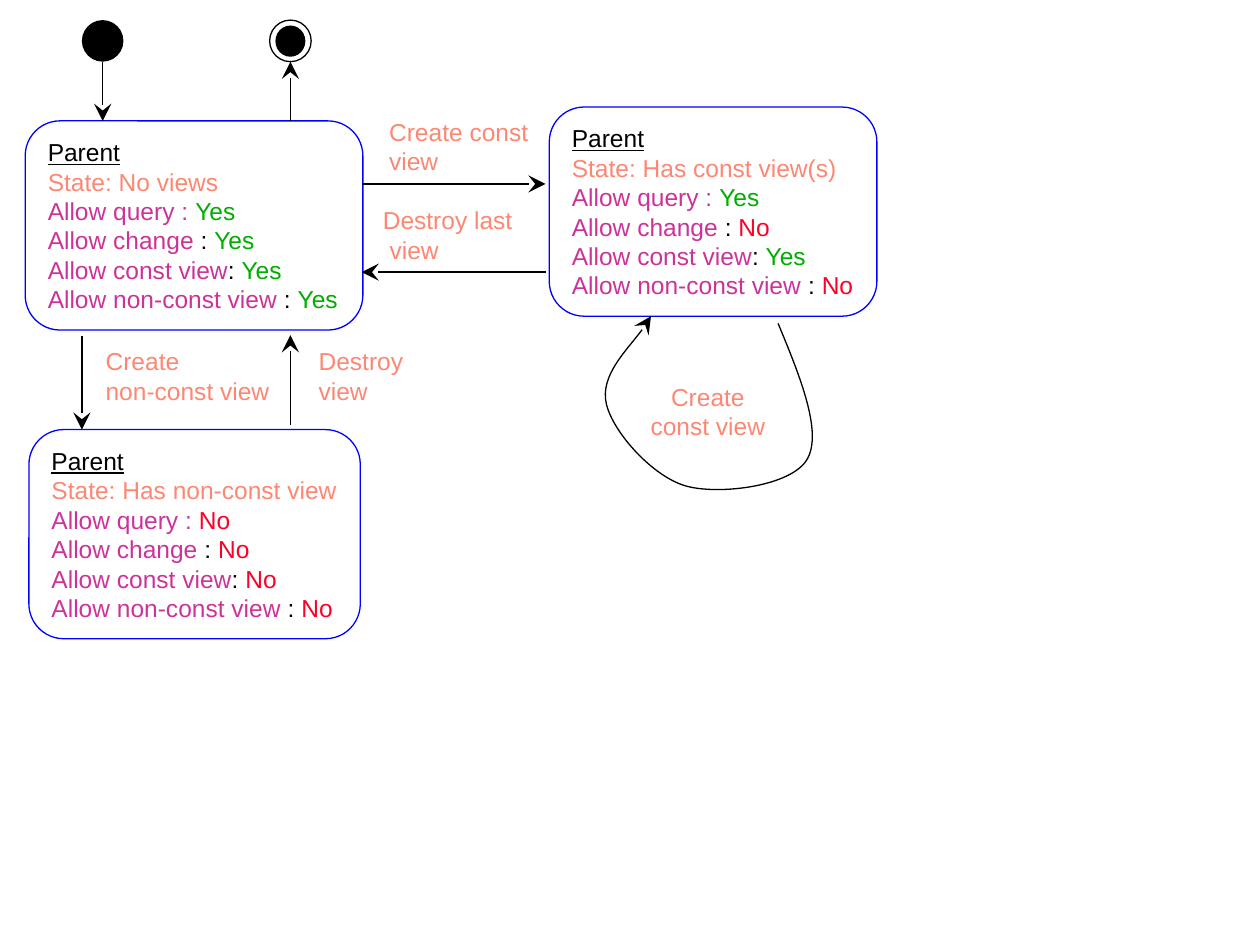
from dataclasses import dataclass

from lxml.etree import SubElement
from pptx import Presentation
from pptx.dml.color import RGBColor
from pptx.enum.shapes import MSO_CONNECTOR, MSO_SHAPE
from pptx.enum.text import MSO_ANCHOR, MSO_AUTO_SIZE, PP_ALIGN
from pptx.oxml.ns import qn
from pptx.util import Inches, Pt

BLACK = RGBColor(0x00, 0x00, 0x00)
WHITE = RGBColor(0xFF, 0xFF, 0xFF)
BLUE = RGBColor(0x00, 0x00, 0xFF)
SALMON = RGBColor(0xFD, 0x87, 0x73)
PURPLE = RGBColor(0xCC, 0x33, 0x99)
GREEN = RGBColor(0x00, 0xAE, 0x00)
RED = RGBColor(0xFC, 0x01, 0x28)

SLIDE_WIDTH, SLIDE_HEIGHT = Inches(10), Inches(7.5)
COLUMN, ROW = SLIDE_WIDTH / 100, SLIDE_HEIGHT / 75
LINE_WIDTH = Pt(0.75)
PERMISSIONS = (
    ("Allow query : ", ""),
    ("Allow change", " : "),
    ("Allow const view", ": "),
    ("Allow non-const view", " : "),
)
LOOP_START = (0.8, 0.04)
LOOP_CURVE = (
    (0.9, 0.34), (1, 0.65), (0.93, 0.8),
    (0.86, 0.95), (0.54, 1), (0.39, 0.95),
    (0.24, 0.9), (0.06, 0.65), (0.03, 0.49),
    (0, 0.33), (0.19, 0.1), (0.23, 0),
)


@dataclass
class Box:
    """A rectangle measured in grid columns and rows."""

    left: float
    top: float
    width: float
    height: float

    def point(self, across, down):
        """Return the grid point at the given shares of the box."""
        return self.left + across * self.width, self.top + down * self.height

    def inner(self, across, down, width, height):
        """Return a box given as shares of this one."""
        return Box(*self.point(across, down), width * self.width, height * self.height)

    def lengths(self):
        """Return left, top, width and height as slide lengths."""
        return (*to_slide(self.left, self.top), *to_slide(self.width, self.height))


def to_slide(column, row):
    """Turn a grid position into slide lengths."""
    return round(column * COLUMN), round(row * ROW)


def style_line(line, color=BLACK):
    """Give a line its colour and width."""
    line.color.rgb = color
    line.width = LINE_WIDTH


def add_arrowhead(shape):
    """End the line of a shape in a large stealth arrowhead."""
    line = shape.line._get_or_add_ln()
    SubElement(line, qn("a:tailEnd"), type="stealth", w="lg", len="lg")


def add_run(paragraph, text, color, underline=False):
    """Add formatted text to a paragraph."""
    run = paragraph.add_run()
    run.text = text
    run.font.name = "Arial"
    run.font.size = Pt(14)
    run.font.color.rgb = color
    run.font.underline = underline


def add_state(slide, box, state, answers):
    """Draw a state with one answer for each permission."""
    shape = slide.shapes.add_shape(MSO_SHAPE.ROUNDED_RECTANGLE, *box.lengths())
    shape.shadow.inherit = False
    shape.fill.background()
    style_line(shape.line, BLUE)
    text_frame = shape.text_frame
    text_frame.word_wrap = False
    text_frame.auto_size = MSO_AUTO_SIZE.SHAPE_TO_FIT_TEXT
    text_frame.vertical_anchor = MSO_ANCHOR.MIDDLE
    add_run(text_frame.paragraphs[0], "Parent", BLACK, underline=True)
    add_run(text_frame.add_paragraph(), f"State: {state}", SALMON)
    for (permission, separator), answer in zip(PERMISSIONS, answers):
        paragraph = text_frame.add_paragraph()
        add_run(paragraph, permission, PURPLE)
        if separator:
            add_run(paragraph, separator, BLACK)
        add_run(paragraph, answer, GREEN if answer == "Yes" else RED)
    for paragraph in text_frame.paragraphs:
        paragraph.alignment = PP_ALIGN.LEFT


def add_label(slide, box, lines, alignment=PP_ALIGN.LEFT, space_after=0):
    """Write the label of a transition."""
    text_frame = slide.shapes.add_textbox(*box.lengths()).text_frame
    text_frame.word_wrap = True
    text_frame.auto_size = MSO_AUTO_SIZE.SHAPE_TO_FIT_TEXT
    text_frame.text = "\n".join(lines)
    for paragraph in text_frame.paragraphs:
        paragraph.alignment = alignment
        paragraph.space_after = Pt(space_after)
        for run in paragraph.runs:
            run.font.name = "Arial"
            run.font.size = Pt(14)
            run.font.color.rgb = SALMON


def add_transition(slide, start, end):
    """Draw a straight arrow between two grid points."""
    connector = slide.shapes.add_connector(
        MSO_CONNECTOR.STRAIGHT, *to_slide(*start), *to_slide(*end)
    )
    style_line(connector.line)
    add_arrowhead(connector)
    SubElement(connector.element.spPr, qn("a:effectLst"))


def add_loop(slide, box):
    """Draw a curved transition back to the same state, with its label."""
    builder = slide.shapes.build_freeform(*to_slide(*box.point(*LOOP_START)))
    builder.add_line_segments(
        [to_slide(*box.point(*share)) for share in LOOP_CURVE], close=False
    )
    shape = builder.convert_to_shape()
    outline = next(shape.element.iter(qn("a:path")))
    segments = outline.findall(qn("a:lnTo"))
    for first in range(0, len(segments), 3):
        curve = SubElement(outline, qn("a:cubicBezTo"))
        for segment in segments[first:first + 3]:
            curve.append(segment[0])
            outline.remove(segment)
    shape.shadow.inherit = False
    shape.fill.background()
    style_line(shape.line)
    add_arrowhead(shape)
    add_label(slide, box.inner(0.12, 0.33, 0.73, 0.4), ["Create const view"],
              PP_ALIGN.CENTER, 8.8)


def add_disc(shapes, box, color, outlined=False):
    """Draw a filled ellipse."""
    disc = shapes.add_shape(MSO_SHAPE.OVAL, *box.lengths())
    disc.shadow.inherit = False
    disc.fill.solid()
    disc.fill.fore_color.rgb = color
    if outlined:
        style_line(disc.line)
    else:
        disc.line.fill.background()


def add_final_marker(slide, box):
    """Draw the ringed marker where the diagram ends."""
    shapes = slide.shapes.add_group_shape().shapes
    add_disc(shapes, box, WHITE, outlined=True)
    add_disc(shapes, box.inner(0.14, 0.13, 0.72, 0.75), BLACK)


def add_state_diagram(slide):
    """Place the states, transitions and markers on the grid."""
    no_views = Box(2, 9.6, 26.8, 16.6)
    const_views = Box(43.6, 8.5, 26, 16.6)
    non_const_view = Box(2.3, 34.1, 26.3, 16.6)
    add_state(slide, no_views, "No views", ["Yes"] * 4)
    add_state(slide, const_views, "Has const view(s)", ["Yes", "No"] * 2)
    add_state(slide, non_const_view, "Has non-const view", ["No"] * 4)

    initial, final = Box(6.5, 1.6, 3.3, 3.3), Box(21.4, 1.6, 3.3, 3.3)
    add_disc(slide.shapes, initial, BLACK)
    add_final_marker(slide, final)
    initial_foot, final_foot = initial.point(0.5, 1), final.point(0.5, 1)
    add_transition(slide, initial_foot, (initial_foot[0], no_views.top))
    add_transition(slide, (final_foot[0], no_views.top), final_foot)

    add_transition(slide, (28.7, 14.6), (43.3, 14.6))
    add_transition(slide, (43.3, 21.6), (28.7, 21.6))
    add_transition(slide, (6.5, 26.7), (6.5, non_const_view.top))
    add_transition(slide, (final_foot[0], 33.7), (final_foot[0], 26.6))

    add_label(slide, Box(29.9, 8.8, 13.4, 5.7), ["Create const", "view"])
    add_label(slide, Box(29.4, 15.8, 19.7, 5.7), ["Destroy last", " view"])
    add_label(slide, Box(7.4, 27, 15.7, 5.7), ["Create", "non-const view"])
    add_label(slide, Box(24.3, 27, 10.1, 5.7), ["Destroy view"], space_after=8.8)
    add_loop(slide, Box(47.6, 25.1, 17.7, 14.2))


def main():
    """Build and save the presentation."""
    presentation = Presentation()
    presentation.slide_width, presentation.slide_height = SLIDE_WIDTH, SLIDE_HEIGHT
    slide = presentation.slides.add_slide(presentation.slide_layouts[6])
    add_state_diagram(slide)
    presentation.save("out.pptx")


if __name__ == "__main__":
    main()
